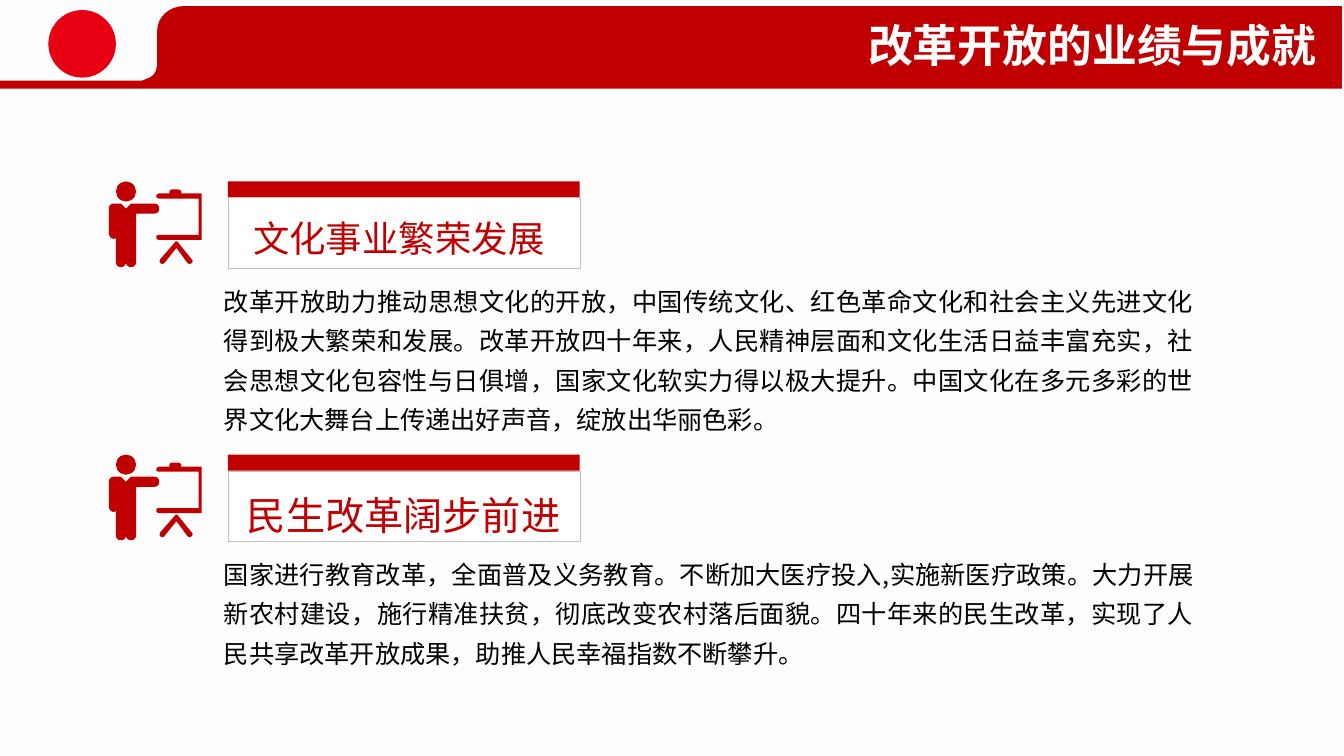
from lxml.etree import SubElement as Sub
from pptx import Presentation
from pptx.dml.color import RGBColor
from pptx.enum.shapes import MSO_SHAPE as Shape
from pptx.enum.text import MSO_ANCHOR as Anchor
from pptx.enum.text import MSO_AUTO_SIZE as Fit
from pptx.enum.text import PP_ALIGN as Align
from pptx.oxml.ns import qn
from pptx.util import Inches, Pt

RED = RGBColor(0xC0, 0x00, 0x00)
BRIGHT = RGBColor(0xE6, 0x00, 0x12)
WHITE = RGBColor(0xFF, 0xFF, 0xFF)
BLACK = RGBColor(0x00, 0x00, 0x00)
GREY = RGBColor(0xBF, 0xBF, 0xBF)
PAPER = RGBColor(0xFD, 0xFD, 0xFD)
FONT = "Noto Sans CJK SC"

# Outlines: a pair is a corner, six numbers are a Bezier curve
BANNER = [
    (1.83, 0.06), (13.31, 0.06), (13.31, 0.88), (-0.02, 0.88), (-0.02, 0.8),
    (1.41, 0.8), (1.46, 0.78), (1.52, 0.76, 1.54, 0.72, 1.55, 0.69),
    (1.56, 0.64), (1.56, 0.3), (1.56, 0.17, 1.68, 0.06, 1.83, 0.06),
]
# Icon parts are measured from the top of their section
BODY = [
    (1.53, 0.22), (1.3, 0.22), (1.25, 0.27), (1.2, 0.22), (1.13, 0.22),
    (1.1, 0.22, 1.08, 0.24, 1.08, 0.27), (1.08, 0.51),
    (1.08, 0.54, 1.1, 0.57, 1.13, 0.57), (1.15, 0.56), (1.15, 0.8),
    (1.15, 0.83, 1.17, 0.85, 1.2, 0.85), (1.23, 0.85, 1.25, 0.83, 1.25, 0.8),
    (1.25, 0.83, 1.27, 0.85, 1.3, 0.85), (1.33, 0.85, 1.35, 0.83, 1.35, 0.8),
    (1.35, 0.32), (1.53, 0.32), (1.56, 0.32, 1.58, 0.3, 1.58, 0.27),
    (1.58, 0.24, 1.56, 0.22, 1.53, 0.22),
]
BOARD = [
    (2, 0.12), (1.79, 0.12), (1.8, 0.11), (1.8, 0.09, 1.78, 0.08, 1.76, 0.08),
    (1.71, 0.08), (1.69, 0.08, 1.68, 0.09, 1.68, 0.11), (1.68, 0.12),
    (1.58, 0.12), (1.56, 0.12, 1.55, 0.14, 1.55, 0.15),
    (1.55, 0.16, 1.56, 0.17, 1.58, 0.17), (1.97, 0.17), (1.97, 0.53),
    (1.58, 0.53), (1.56, 0.53, 1.55, 0.54, 1.55, 0.55),
    (1.55, 0.57, 1.56, 0.58, 1.58, 0.58), (2, 0.58),
]
LEGS = [
    (1.9, 0.77), (1.77, 0.61), (1.76, 0.59, 1.74, 0.59, 1.73, 0.61),
    (1.59, 0.77), (1.58, 0.79, 1.58, 0.8, 1.59, 0.81),
    (1.6, 0.82, 1.62, 0.82, 1.63, 0.81), (1.75, 0.66), (1.86, 0.81),
    (1.87, 0.82, 1.89, 0.82, 1.9, 0.81), (1.91, 0.8, 1.92, 0.79, 1.9, 0.77),
]

# Section: top, heading, heading left, heading size, text height, text
PARTS = [
    (1.8, "文化事业繁荣发展", 2.39, 26, 1.63,
     "改革开放助力推动思想文化的开放，中国传统文化、红色革命文化和社会主义先进文化"
     "得到极大繁荣和发展。改革开放四十年来，人民精神层面和文化生活日益丰富充实，社"
     "会思想文化包容性与日俱增，国家文化软实力得以极大提升。中国文化在多元多彩的世"
     "界文化大舞台上传递出好声音，绽放出华丽色彩。"),
    (4.51, "民生改革阔步前进", 2.33, 28, 1.23,
     "国家进行教育改革，全面普及义务教育。不断加大医疗投入,实施新医疗政策。大力开"
     "展新农村建设，施行精准扶贫，彻底改变农村落后面貌。四十年来的民生改革，实现了"
     "人民共享改革开放成果，助推人民幸福指数不断攀升。"),
]


def paint(shape, fill, line=None):
    shape.shadow.inherit = False
    shape.fill.solid()
    shape.fill.fore_color.rgb = fill
    if line is None:
        shape.line.fill.background()
    else:
        shape.line.color.rgb = line
        shape.line.width = Pt(0.25)


def add_form(shapes, kind, box, fill, line=None):
    paint(shapes.add_shape(kind, *map(Inches, box)), fill, line)


def trace(marks, steps=8):
    """Turn corners and curves into a list of points."""
    points = []
    for mark in marks:
        if len(mark) == 2:
            points.append(mark)
            continue
        knots = [points[-1], mark[:2], mark[2:4], mark[4:]]
        for i in range(1, steps + 1):
            t = i / steps
            u = 1 - t
            rates = (u**3, 3 * u * u * t, 3 * u * t * t, t**3)
            points.append(tuple(sum(r * k[axis] for r, k in zip(rates, knots))
                                for axis in (0, 1)))
    return points


def add_path(shapes, marks, fill, top=0):
    points = [(Inches(x), Inches(top + y)) for x, y in trace(marks)]
    pen = shapes.build_freeform(*points[0])
    pen.add_line_segments(points[1:], close=True)
    paint(pen.convert_to_shape(), fill)


def write(shape, text, size=18, color=BLACK, bold=False, align=Align.LEFT,
          space=1.0):
    frame = shape.text_frame
    frame.word_wrap = True
    frame.auto_size = Fit.NONE
    frame.vertical_anchor = Anchor.TOP
    para = frame.paragraphs[0]
    para.alignment = align
    para.line_spacing = space
    para.space_before = Pt(0)
    run = para.add_run()
    run.text = text
    font = run.font
    font.size, font.bold, font.name = Pt(size), bold, FONT
    font.color.rgb = color
    Sub(run._r.get_or_add_rPr(), qn("a:ea"), typeface=FONT)
    return para


def place(shape, box):
    """Move a placeholder and bring it to the front."""
    shape.left, shape.top, shape.width, shape.height = map(Inches, box)
    tree = shape._element.getparent()
    tree.append(shape._element)


def add_head(slide, text):
    add_form(slide.shapes, Shape.OVAL, (0.48, 0.1, 0.67, 0.67), BRIGHT)
    add_path(slide.shapes, BANNER, RED)
    title = slide.shapes.title
    place(title, (4.78, 0.13, 8.38, 0.64))
    write(title, text, size=32, color=WHITE, bold=True, align=Align.RIGHT)


def add_icon(slide, top):
    group = slide.shapes.add_group_shape()
    add_form(group.shapes, Shape.OVAL, (1.15, top, 0.2, 0.2), RED)
    for marks in (BODY, BOARD, LEGS):
        add_path(group.shapes, marks, RED, top)


def add_label(slide, top, text, left, size):
    add_form(slide.shapes, Shape.RECTANGLE, (2.26, top, 3.49, 0.18), RED)
    add_form(slide.shapes, Shape.RECTANGLE, (2.26, top + 0.16, 3.49, 0.7),
             WHITE, GREY)
    box = slide.shapes.add_textbox(
        *map(Inches, (left, top + 0.07, 3.7, 0.7)))
    frame = box.text_frame
    frame.margin_left = frame.margin_right = Inches(0.12)
    frame.margin_top = frame.margin_bottom = Inches(0.06)
    write(box, text, size=size, color=RED, space=1.5)


def add_text(holder, top, height, text):
    place(holder, (2.12, top + 0.9, 9.82, height))
    para = write(holder, text, align=Align.JUSTIFY, space=1.3)
    props = para._p.get_or_add_pPr()
    props.set("marL", "0")
    props.set("indent", "0")
    Sub(props, qn("a:buNone"))


def main():
    deck = Presentation()
    deck.slide_width, deck.slide_height = Inches(13.33), Inches(7.5)
    slide = deck.slides.add_slide(deck.slide_layouts.get_by_name("Two Content"))
    slide.background.fill.solid()
    slide.background.fill.fore_color.rgb = PAPER
    holders = list(slide.placeholders)[1:]

    # Banner with title
    add_head(slide, "改革开放的业绩与成就")

    # Two sections
    for holder, part in zip(holders, PARTS):
        top, label, left, size, height, text = part
        add_label(slide, top, label, left, size)
        add_icon(slide, top)
        add_text(holder, top, height, text)

    deck.save("out.pptx")


if __name__ == "__main__":
    main()
